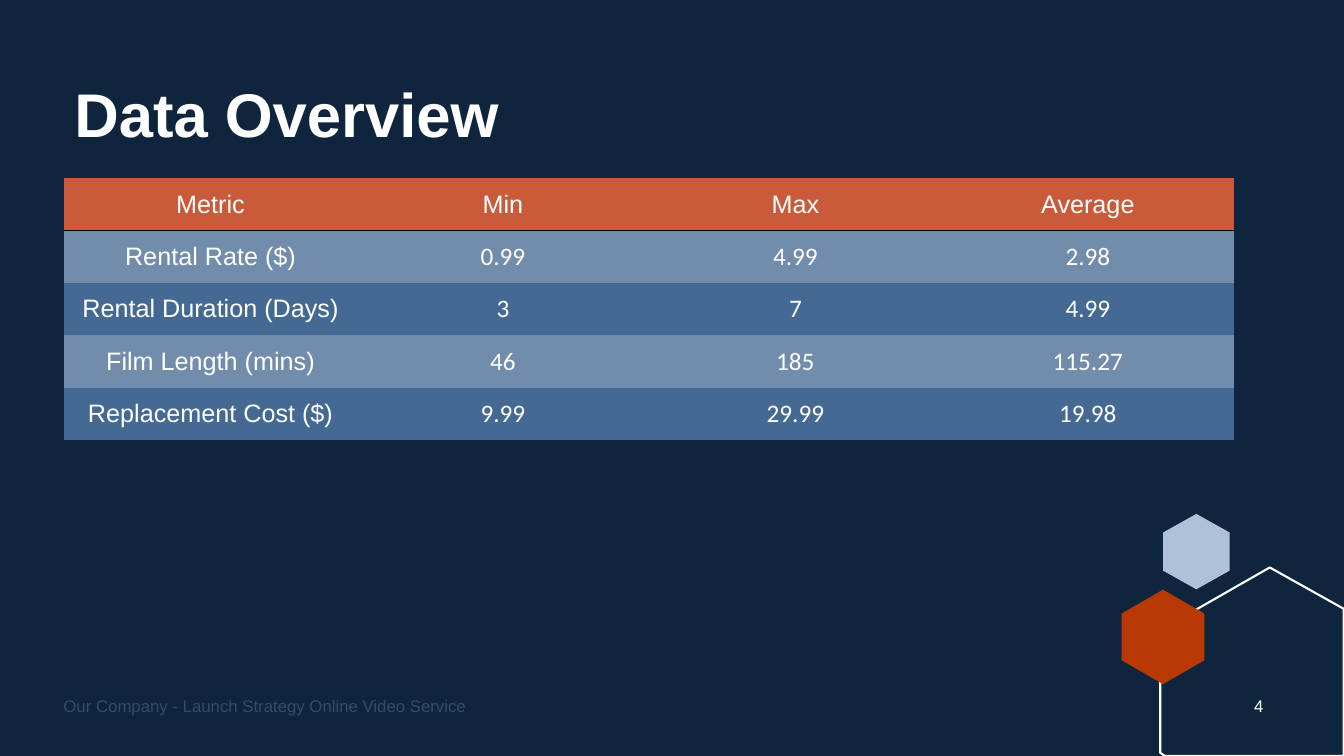
from lxml import etree
from pptx import Presentation
from pptx.dml.color import RGBColor
from pptx.enum import text as t
from pptx.oxml import ns
from pptx.util import Cm, Pt

WHITE, NAVY, BLACK = "FFFFFF", "0F253E", "000000"
HEAD, BANDS = "C95B3A", ("728DAB", "446992")
TITLE = "Data Overview"
ROWS = [
    ("Metric", "Min", "Max", "Average"),
    ("Rental Rate ($)", "0.99", "4.99", "2.98"),
    ("Rental Duration (Days)", "3", "7", "4.99"),
    ("Film Length (mins)", "46", "185", "115.27"),
    ("Replacement Cost ($)", "9.99", "29.99", "19.98"),
]
# text, left, width, alignment, colour
NOTES = [
    ("4", 31.09, 1.27, t.PP_ALIGN.CENTER, WHITE),
    ("Our Company - Launch Strategy Online Video Service", 1.35, 11.43,
     t.PP_ALIGN.LEFT, "334C6A"),
]
# left, top, width, height, colour
PALE = (29.31, 12.95, 1.68, 1.9, "AEC1D8")
RUST = (28.27, 14.86, 2.08, 2.38, "B83903")
FRAME = [(32, 14.3), (33.86, 15.34), (33.86, 19.05), (29.36, 19.05),
         (29.24, 18.97), (29.24, 15.88)]
COL, ROW = 7.37, 1.32
NO_STYLE = "{2D5ABB26-0587-4C30-8999-92F81FD0307C}"


def paint(fmt, color):
    fmt.solid()
    fmt.fore_color.rgb = RGBColor.from_string(color)


def write(frame, words, size, color=WHITE, face="Arial", align=None, bold=False):
    para = frame.paragraphs[0]
    para.alignment = align
    run = para.add_run()
    run.text = words
    run.font.size, run.font.name, run.font.bold = Pt(size), face, bold
    paint(run.font.fill, color)
    return para


def outline(slide, points):
    """Add a closed polygon through points given in centimetres."""
    dots = [(round(x * 100), round(y * 100)) for x, y in points]
    pen = slide.shapes.build_freeform(*dots[0], scale=Cm(1) / 100)
    pen.add_line_segments(dots[1:], close=True)
    shape = pen.convert_to_shape()
    shape.shadow.inherit = False
    return shape


def hexagon(slide, left, top, wide, high, color):
    mid, right = left + wide / 2, left + wide
    up, down = top + high / 4, top + high * 3 / 4
    shape = outline(slide, [(mid, top), (right, up), (right, down),
                            (mid, top + high), (left, down), (left, up)])
    paint(shape.fill, color)
    shape.line.fill.background()


def rule(cell, color, width):
    """Draw the bottom border of a cell."""
    props = cell._tc.get_or_add_tcPr()
    line = etree.Element(ns.qn("a:lnB"), w=str(Pt(width)))
    fill = etree.SubElement(line, ns.qn("a:solidFill"))
    etree.SubElement(fill, ns.qn("a:srgbClr"), val=color)
    props.insert(0, line)


def grid(slide):
    frame = slide.shapes.add_table(len(ROWS), len(ROWS[0]), Cm(1.62), Cm(4.49),
                                   Cm(COL * len(ROWS[0])), Cm(ROW * len(ROWS)))
    table = frame.table
    table._tbl.tblPr.find(ns.qn("a:tableStyleId")).text = NO_STYLE
    for col in table.columns:
        col.width = Cm(COL)
    for r, row in enumerate(ROWS):
        table.rows[r].height = Cm(ROW)
        for c, words in enumerate(row):
            cell = table.cell(r, c)
            cell.vertical_anchor = t.MSO_ANCHOR.MIDDLE
            paint(cell.fill, BANDS[(r - 1) % 2] if r else HEAD)
            face = "Calibri" if r and c else "Arial"
            write(cell.text_frame, words, 18, face=face, align=t.PP_ALIGN.CENTER)
            if r == 0:
                rule(cell, BLACK, 1.5)


def main():
    deck = Presentation()
    deck.slide_width, deck.slide_height = Cm(33.87), Cm(19.05)
    slide = deck.slides.add_slide(deck.slide_layouts[5])
    paint(slide.background.fill, NAVY)

    hexagon(slide, *PALE)
    frame = outline(slide, FRAME)
    frame.fill.background()
    paint(frame.line.fill, WHITE)
    frame.line.width = Pt(1.5)
    hexagon(slide, *RUST)

    title = slide.shapes.title
    title.left, title.top = Cm(1.62), Cm(2)
    title.width, title.height = Cm(30.25), Cm(3.94)
    title.text_frame.vertical_anchor = t.MSO_ANCHOR.TOP
    title.text_frame.auto_size = t.MSO_AUTO_SIZE.NONE
    para = write(title.text_frame, TITLE, 44, align=t.PP_ALIGN.LEFT, bold=True)
    para.line_spacing = 0.9

    grid(slide)
    for words, left, wide, align, color in NOTES:
        box = slide.shapes.add_textbox(Cm(left), Cm(17.27), Cm(wide), Cm(1.02))
        box.text_frame.word_wrap = True
        box.text_frame.vertical_anchor = t.MSO_ANCHOR.MIDDLE
        write(box.text_frame, words, 12, color, align=align)

    deck.save("out.pptx")


if __name__ == "__main__":
    main()
